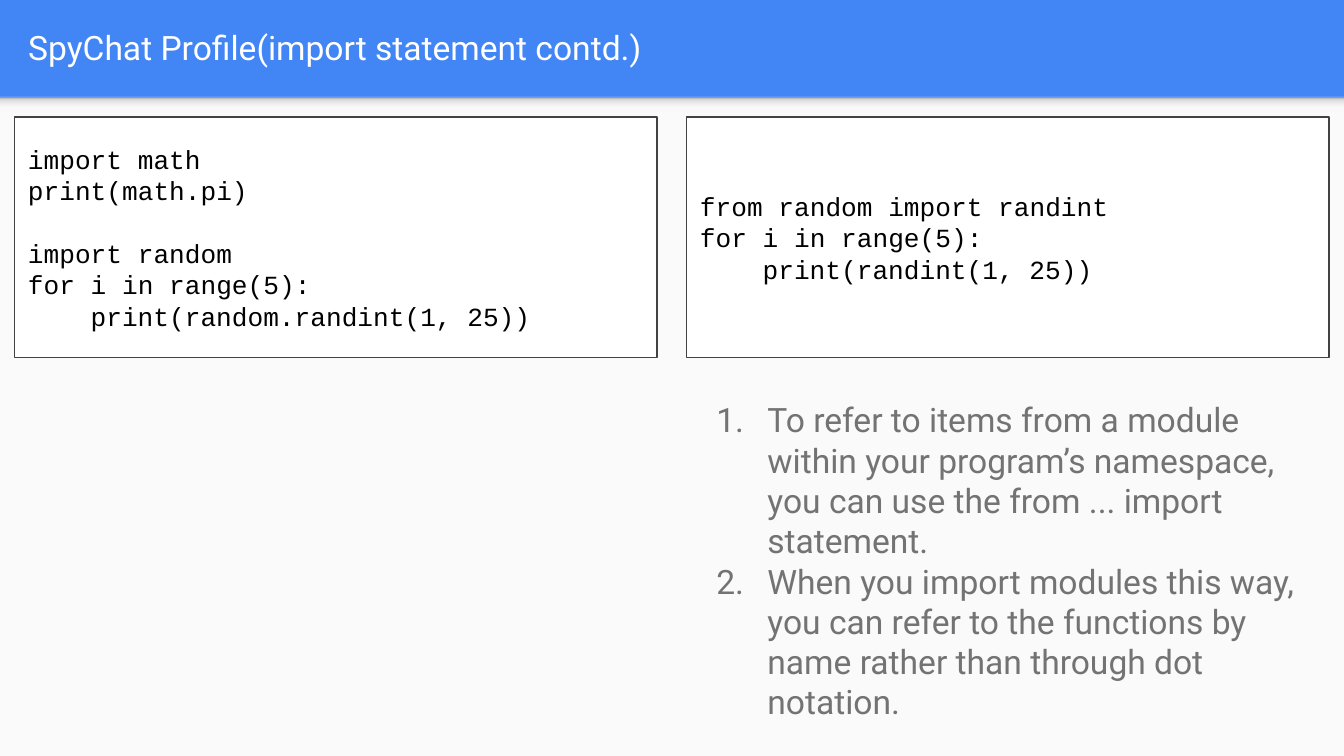
from dataclasses import dataclass

from lxml.etree import SubElement as Sub
from pptx import Presentation
from pptx.dml.color import RGBColor as Rgb
from pptx.enum.shapes import MSO_SHAPE as Shape
from pptx.enum.text import MSO_ANCHOR as Anchor, MSO_AUTO_SIZE as Fit, PP_ALIGN as Align
from pptx.oxml.ns import qn
from pptx.util import Inches, Pt


@dataclass(frozen=True)
class Theme:
    blue: str = "4285F4"
    page: str = "FAFAFA"
    white: str = "FFFFFF"
    black: str = "000000"
    edge: str = "424242"
    gray: str = "737373"
    shade: tuple = ((0, "F9F9F9"), (36, "F9F9F9"), (80, "DEDEDE"), (100, "999999"))
    sans: str = "Roboto"
    mono: str = "Courier New"
    text: int = 18
    code: int = 14
    lead: float = 1.2
    pad: float = 0.1


THEME = Theme()
WIDE = 10
HIGH = WIDE * 9 / 16
BAR = 0.72


def place(shape, box):
    shape.left, shape.top, shape.width, shape.height = map(Inches, box)


def set_frame(shape, anchor):
    frame = shape.text_frame
    frame.word_wrap = True
    frame.auto_size = Fit.NONE
    frame.vertical_anchor = anchor
    frame.margin_left = frame.margin_right = Inches(THEME.pad)
    frame.margin_top = frame.margin_bottom = Inches(THEME.pad)
    return frame


def style(para, face, size, color):
    para.alignment = Align.LEFT
    para.space_before = para.space_after = Pt(0)
    para.line_spacing = Pt(size * THEME.lead)
    para.font.name = face
    para.font.size = Pt(size)
    para.font.color.rgb = Rgb.from_string(color)


def indent(para, left, first=0):
    props = para._p.get_or_add_pPr()
    props.set("marL", str(Inches(left)))
    props.set("indent", str(Inches(first)))
    return props


def add_rect(slide, box, color):
    rect = slide.shapes.add_shape(Shape.RECTANGLE, *map(Inches, box))
    rect.shadow.inherit = False
    rect.fill.solid()
    rect.fill.fore_color.rgb = Rgb.from_string(color)
    rect.line.fill.background()
    return rect


def add_page(slide, box):
    """Light page area with a soft shade along its top edge."""
    left, top, width, _ = box
    page = add_rect(slide, box, THEME.page)
    band = add_rect(slide, (left, top, width, 0.12), THEME.page)
    band.fill.gradient()
    band.fill.gradient_angle = 90
    stops = band._element.spPr.find(qn("a:gradFill")).find(qn("a:gsLst"))
    for stop in list(stops):
        stops.remove(stop)
    for spot, color in THEME.shade:
        stop = Sub(stops, qn("a:gs"), pos=str(spot * 1000))
        Sub(stop, qn("a:srgbClr"), val=color)
    # Behind the placeholders
    tree = slide.shapes._spTree
    for depth, part in enumerate((page, band), 2):
        tree.insert(depth, part._element)


def fill_title(title, box, text):
    place(title, box)
    frame = set_frame(title, Anchor.MIDDLE)
    frame.text = text
    style(frame.paragraphs[0], THEME.sans, THEME.text, THEME.white)


def add_code(slide, box, blocks):
    """Framed code; blocks are set apart by one line of space."""
    panel = add_rect(slide, box, THEME.white)
    panel.line.color.rgb = Rgb.from_string(THEME.edge)
    panel.line.width = Pt(0.75)
    frame = set_frame(panel, Anchor.MIDDLE)
    frame.text = "\n".join(line.strip() for block in blocks for line in block)
    paras = iter(frame.paragraphs)
    for rank, block in enumerate(blocks):
        for row, line in enumerate(block):
            para = next(paras)
            style(para, THEME.mono, THEME.code, THEME.black)
            if rank and not row:
                para.space_before = Pt(THEME.code * THEME.lead)
            if line.startswith("\t"):
                # Four characters, each 0.6 em wide
                indent(para, 4 * 0.6 * THEME.code / 72)


def fill_list(body, box, items):
    place(body, box)
    frame = set_frame(body, Anchor.TOP)
    frame.text = "\n".join(items)
    for para in frame.paragraphs:
        style(para, THEME.sans, THEME.text, THEME.gray)
        props = indent(para, 0.5, -0.38)
        tint = Sub(props, qn("a:buClr"))
        Sub(tint, qn("a:srgbClr"), val=THEME.gray)
        Sub(props, qn("a:buFont"), typeface=THEME.sans)
        Sub(props, qn("a:buAutoNum"), type="arabicPeriod")
        # Font defaults come last in the properties
        fonts = props.find(qn("a:defRPr"))
        if fonts is not None:
            props.append(fonts)


def main():
    deck = Presentation()
    deck.slide_width, deck.slide_height = Inches(WIDE), Inches(HIGH)
    slide = deck.slides.add_slide(deck.slide_layouts[1])
    back = slide.background.fill
    back.solid()
    back.fore_color.rgb = Rgb.from_string(THEME.blue)
    title, body = slide.placeholders

    # Header and page
    add_page(slide, (0, BAR, WIDE, HIGH - BAR))
    fill_title(title, (0.11, 0.02, 9.65, 0.66), "SpyChat Profile(import statement contd.)")

    # Two code panels, mirrored about the middle
    side, width = 0.11, 4.78
    right = WIDE - side - width
    loop = "for i in range(5):"
    whole = [
        ["import math", "print(math.pi)"],
        ["import random", loop, "\tprint(random.randint(1, 25))"],
    ]
    part = [["from random import randint", loop, "\tprint(randint(1, 25))"]]
    for left, blocks in ((side, whole), (right, part)):
        add_code(slide, (left, 0.87, width, 1.79), blocks)

    # Numbered notes below the right panel
    fill_list(body, (right, 2.87, 4.76, 2.6), [
        "To refer to items from a module within your program’s namespace, "
        "you can use the from ... import statement.",
        "When you import modules this way, you can refer to the functions "
        "by name rather than through dot notation.",
    ])
    deck.save("out.pptx")


if __name__ == "__main__":
    main()
